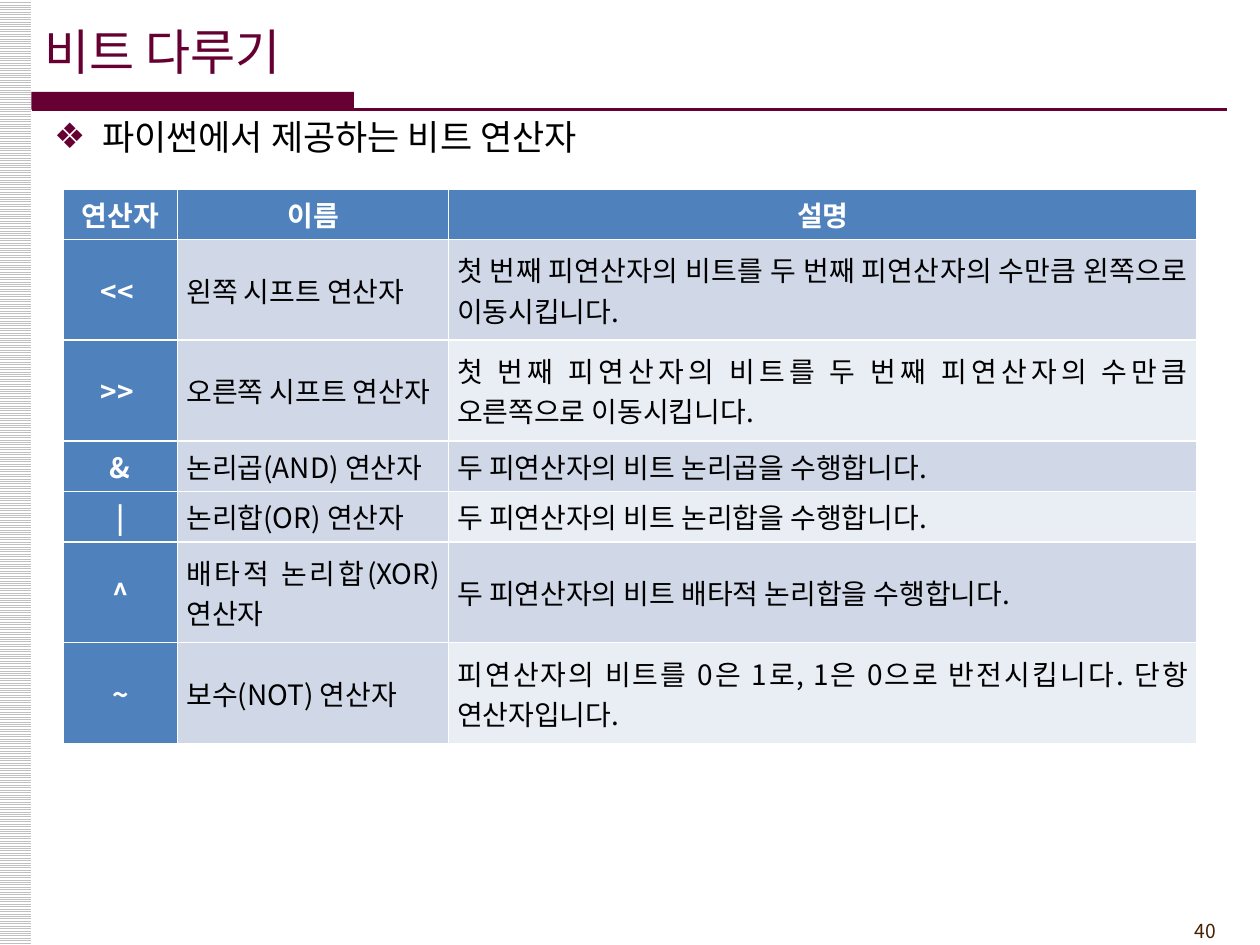
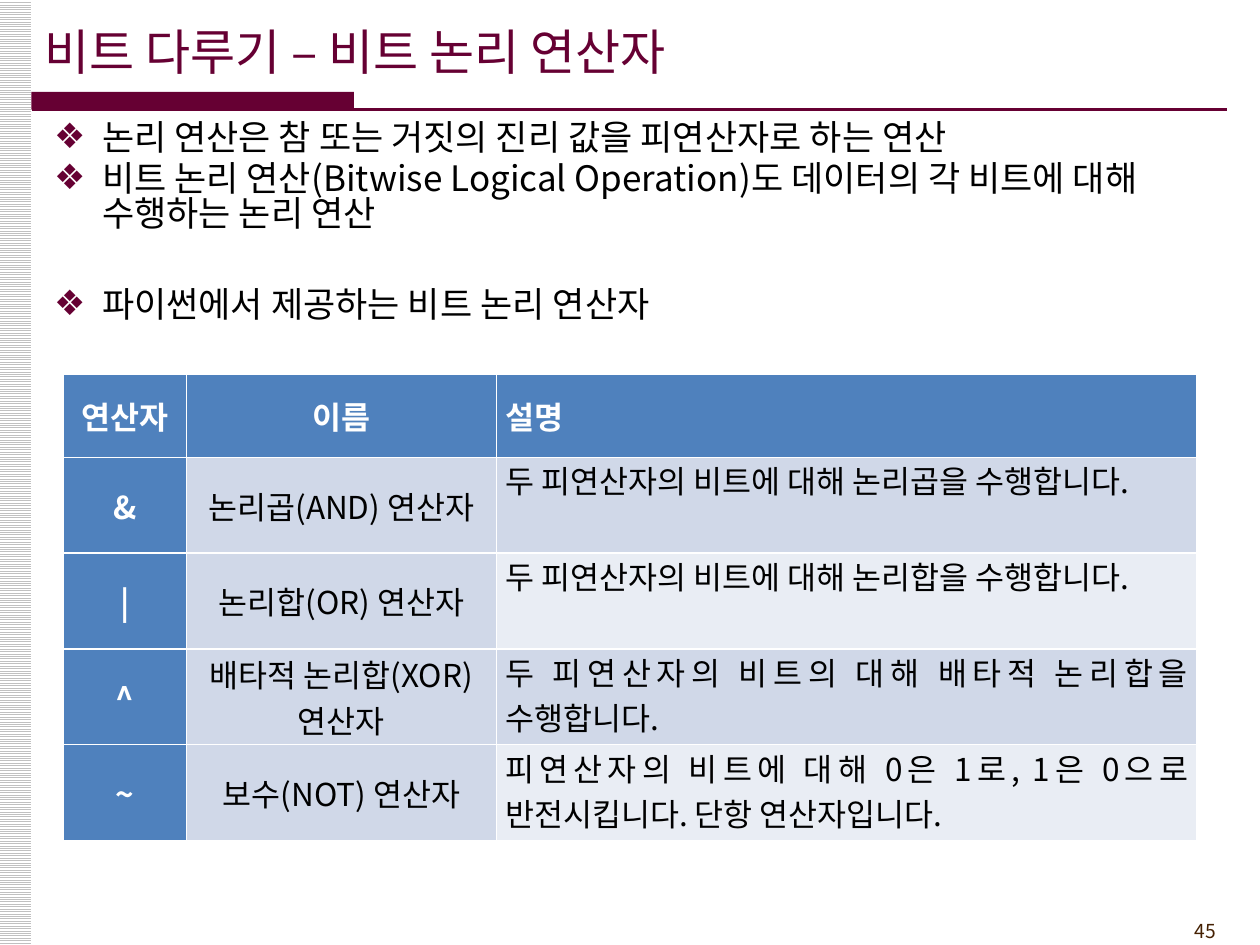
"""Build two lecture slides on Python's bitwise operators."""
from dataclasses import dataclass

from lxml import etree
from pptx import Presentation
from pptx import util as u
from pptx.dml import color as dml
from pptx.enum import dml as dml_enum, shapes, text
from pptx.oxml import ns

LEFT, CENTER, RIGHT, JUSTIFY = (
    text.PP_ALIGN.LEFT, text.PP_ALIGN.CENTER, text.PP_ALIGN.RIGHT, text.PP_ALIGN.JUSTIFY)
MIDDLE, TOP = text.MSO_ANCHOR.MIDDLE, text.MSO_ANCHOR.TOP


@dataclass(frozen=True)
class Theme:
    """Colours and type shared by the slides."""
    font: str = "Noto Sans CJK KR"
    accent: str = "660033"
    ink: str = "000000"
    paper: str = "FFFFFF"
    stripe: str = "C0C0C0"
    number: str = "452103"
    head: str = "4F81BD"
    bands: tuple = ("D0D8E8", "E9EDF4")
    title_size: int = 28
    body_size: int = 20
    number_size: int = 11


THEME = Theme()
HEADINGS = ("연산자", "이름", "설명")

SLIDES = [
    {
        "title": "비트 다루기",
        "number": "40",
        "points": [("파이썬에서 제공하는 비트 연산자", 4)],
        "top": 1.5,
        "size": 16,
        "widths": (0.91, 2.15, 5.94),
        "heights": (0.4, 0.8, 0.8, 0.4, 0.4, 0.8, 0.8),
        "head_align": (CENTER, CENTER, CENTER),
        "row_align": (CENTER, JUSTIFY, JUSTIFY),
        "description_anchor": MIDDLE,
        "operators": [
            ("<< ", "왼쪽 시프트 연산자",
             "첫 번째 피연산자의 비트를 두 번째 피연산자의 수만큼 왼쪽으로 이동시킵니다."),
            (">> ", "오른쪽 시프트 연산자",
             "첫 번째 피연산자의 비트를 두 번째 피연산자의 수만큼 오른쪽으로 이동시킵니다."),
            ("&", "논리곱(AND) 연산자", "두 피연산자의 비트 논리곱을 수행합니다."),
            ("|", "논리합(OR) 연산자", "두 피연산자의 비트 논리합을 수행합니다."),
            ("^", "배타적 논리합(XOR) 연산자", "두 피연산자의 비트 배타적 논리합을 수행합니다."),
            ("~", "보수(NOT) 연산자",
             "피연산자의 비트를 0은 1로, 1은 0으로 반전시킵니다. 단항 연산자입니다."),
        ],
    },
    {
        "title": "비트 다루기 – 비트 논리 연산자",
        "number": "45",
        "points": [
            ("논리 연산은 참 또는 거짓의 진리 값을 피연산자로 하는 연산", 4),
            ("비트 논리 연산(Bitwise Logical Operation)도 데이터의 각 비트에 대해 수행하는 논리 연산", 4),
            ("파이썬에서 제공하는 비트 논리 연산자", 32),
        ],
        "top": 2.97,
        "size": 18,
        "widths": (0.98, 2.46, 5.56),
        "heights": (0.66, 0.76, 0.76, 0.76, 0.76),
        "head_align": (CENTER, CENTER, JUSTIFY),
        "row_align": (CENTER, CENTER, JUSTIFY),
        "description_anchor": TOP,
        "operators": [
            ("&", "논리곱(AND) 연산자", "두 피연산자의 비트에 대해 논리곱을 수행합니다."),
            ("|", "논리합(OR) 연산자", "두 피연산자의 비트에 대해 논리합을 수행합니다."),
            ("^", "배타적 논리합(XOR) 연산자", "두 피연산자의 비트의 대해 배타적 논리합을 수행합니다."),
            ("~", "보수(NOT) 연산자",
             "피연산자의 비트에 대해 0은 1로, 1은 0으로 반전시킵니다. 단항 연산자입니다."),
        ],
    },
]


def rgb(value):
    return dml.RGBColor.from_string(value)


def box(*lengths):
    return [u.Inches(length) for length in lengths]


def place(part, *lengths):
    part.left, part.top, part.width, part.height = box(*lengths)


def style(paragraph, size, color, align=LEFT, bold=False):
    paragraph.alignment = align
    font = paragraph.font
    font.size, font.bold, font.name = u.Pt(size), bold, THEME.font
    font.color.rgb = rgb(color)
    east_asian = etree.SubElement(paragraph._p.pPr.find(ns.qn("a:defRPr")), ns.qn("a:ea"))
    east_asian.set("typeface", THEME.font)


def add_bullet(paragraph):
    properties = paragraph._p.get_or_add_pPr()
    properties.set("marL", str(u.Inches(0.38)))
    properties.set("indent", str(-u.Inches(0.38)))
    tint = etree.SubElement(properties, ns.qn("a:buClr"))
    etree.SubElement(tint, ns.qn("a:srgbClr")).set("val", THEME.accent)
    etree.SubElement(properties, ns.qn("a:buChar")).set("char", "❖")


def add_block(slide, *lengths):
    block = slide.shapes.add_shape(shapes.MSO_SHAPE.RECTANGLE, *box(*lengths))
    block.shadow.inherit = False
    block.line.fill.background()
    return block


def add_frame(slide, number):
    margin = add_block(slide, 0, 0, 0.25, 7.5)
    margin.fill.patterned()
    margin.fill.pattern = dml_enum.MSO_PATTERN.LIGHT_HORIZONTAL
    margin.fill.fore_color.rgb = rgb(THEME.stripe)
    margin.fill.back_color.rgb = rgb(THEME.paper)

    band = add_block(slide, 0.25, 0.73, 2.56, 0.14)
    band.fill.solid()
    band.fill.fore_color.rgb = rgb(THEME.accent)

    rule = slide.shapes.add_connector(
        shapes.MSO_CONNECTOR.STRAIGHT, *box(0.25, 0.87, 9.74, 0.87))
    rule.line.color.rgb = rgb(THEME.accent)
    rule.line.width = u.Pt(1.5)
    etree.SubElement(rule._element.spPr, ns.qn("a:effectLst"))

    page = slide.shapes.add_textbox(*box(8.92, 7.25, 0.83, 0.29)).text_frame
    page.word_wrap = True
    page.text = number
    style(page.paragraphs[0], THEME.number_size, THEME.number, RIGHT)


def fill_title(title, wording):
    place(title, 0.25, 0.09, 8.27, 0.63)
    frame = title.text_frame
    frame.text = wording
    frame.vertical_anchor = MIDDLE
    frame.auto_size = text.MSO_AUTO_SIZE.NONE
    style(frame.paragraphs[0], THEME.title_size, THEME.accent)


def fill_points(body, points):
    place(body, 0.33, 0.92, 9.5, 6.25)
    frame = body.text_frame
    frame.auto_size = text.MSO_AUTO_SIZE.NONE
    frame.text = "\n".join(wording for wording, _ in points)
    for paragraph, (_, gap) in zip(frame.paragraphs, points):
        add_bullet(paragraph)
        paragraph.space_before = u.Pt(gap)
        paragraph.line_spacing = 0.83
        style(paragraph, THEME.body_size, THEME.ink)


def cell_fill(row, column):
    if row == 0 or column == 0:
        return THEME.head
    return THEME.bands[(row - 1) % 2 if column == 2 else 0]


def add_operators(slide, content):
    rows = [HEADINGS, *content["operators"]]
    table = slide.shapes.add_table(
        len(rows), len(HEADINGS),
        *box(0.5, content["top"], sum(content["widths"]), sum(content["heights"]))).table
    for column, width in zip(table.columns, content["widths"]):
        column.width = u.Inches(width)
    for row, height in zip(table.rows, content["heights"]):
        row.height = u.Inches(height)
    for r, wordings in enumerate(rows):
        aligns = content["row_align" if r else "head_align"]
        for c, wording in enumerate(wordings):
            cell = table.cell(r, c)
            heading = r == 0 or c == 0
            cell.text = wording
            cell.fill.solid()
            cell.fill.fore_color.rgb = rgb(cell_fill(r, c))
            cell.margin_left = cell.margin_right = u.Inches(0.07)
            cell.margin_top = cell.margin_bottom = 0
            cell.vertical_anchor = content["description_anchor"] if r and c == 2 else MIDDLE
            style(cell.text_frame.paragraphs[0], content["size"],
                  THEME.paper if heading else THEME.ink, aligns[c], heading)


def main():
    deck = Presentation()
    deck.slide_width, deck.slide_height = box(10, 7.5)
    for content in SLIDES:
        slide = deck.slides.add_slide(deck.slide_layouts[1])
        add_frame(slide, content["number"])
        fill_title(slide.shapes.title, content["title"])
        fill_points(slide.placeholders[1], content["points"])
        add_operators(slide, content)
    deck.save("out.pptx")


if __name__ == "__main__":
    main()
